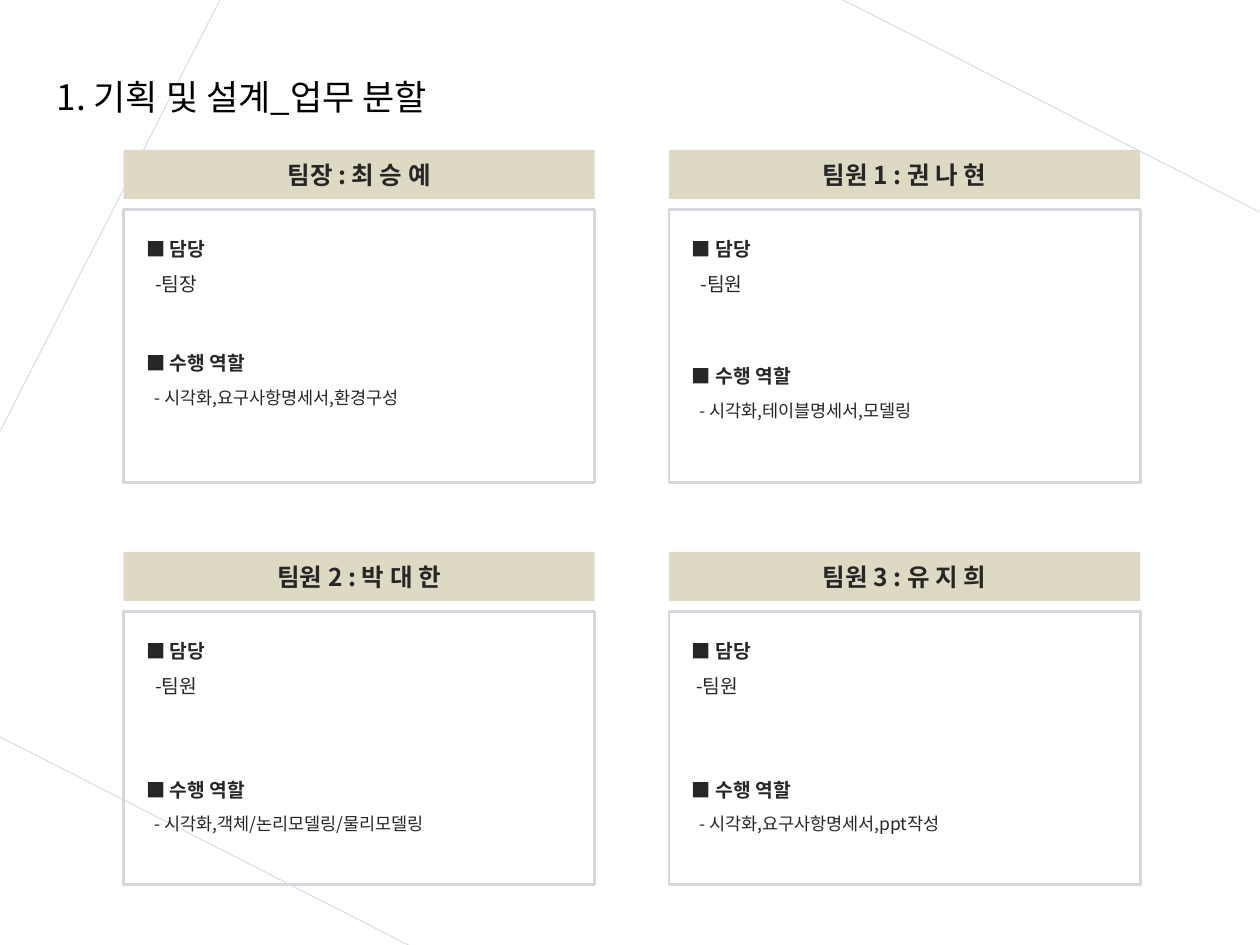
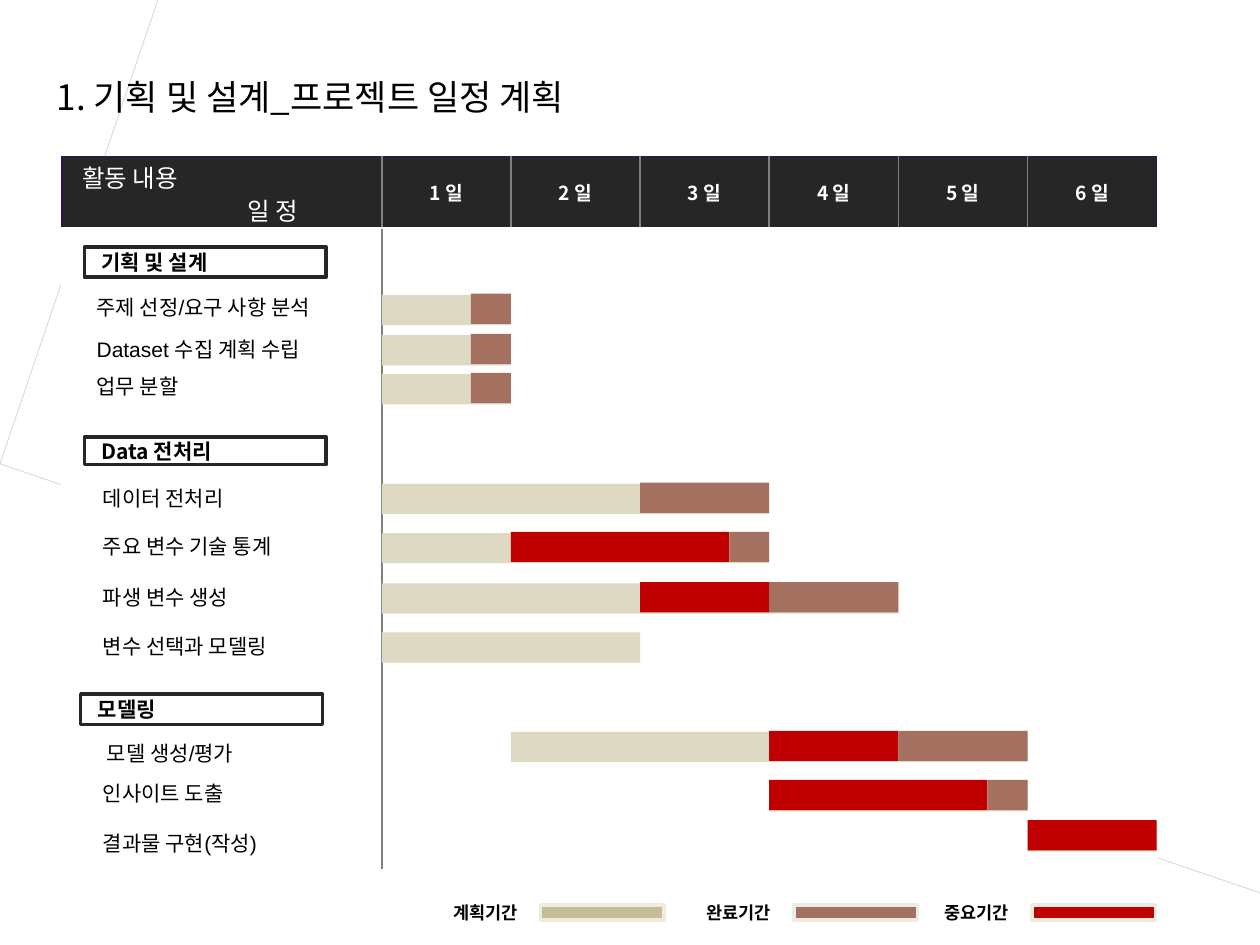
from lxml import etree
from pptx import Presentation
from pptx.dml.color import RGBColor
from pptx.enum.shapes import MSO_SHAPE as Preset
from pptx.enum.text import MSO_ANCHOR as Anchor, MSO_AUTO_SIZE as AutoSize, PP_ALIGN as Align
from pptx.oxml.ns import qn
from pptx.util import Pt

KOREAN_FONT = "Noto Sans CJK KR"
LATIN_FONT = "Arial"
COLORS = {
    "white": "FFFFFF", "black": "000000", "ink": "262626",
    "backdrop": "D9D9D9", "frame": "D6D7DE", "grid": "808080", "table_edge": "2D1152",
    "plan": "DDD9C3", "plan_key": "C4BD97", "key_edge": "EEECE1",
    "done": "A47160", "major": "C00000",
}

CARD_LEFTS = (70.6, 382.3)
CARD_TOPS = (85.7, 315.4)
CARD_WIDTH = 269.3
CARDS = [
    ("팀장 : 최 승 예", "-팀장", 5, 25, "- 시각화,요구사항명세서,환경구성"),
    ("팀원 1 : 권 나 현", "-팀원", 5, 32.5, "- 시각화,테이블명세서,모델링"),
    ("팀원 2 : 박 대 한", "-팀원", 5, 39, "- 시각화,객체/논리모델링/물리모델링"),
    ("팀원 3 : 유 지 희", "-팀원", 2.5, 39, "- 시각화,요구사항명세서,ppt작성"),
]

TABLE_LEFT, TABLE_TOP = 35.3, 89.3
ACTIVITY_WIDTH, DAY_WIDTH, DAY_COUNT = 182.9, 73.8, 6
HEADER_HEIGHT, CHART_HEIGHT = 41, 366.5
DAY_ONE = TABLE_LEFT + ACTIVITY_WIDTH
BAR_HEIGHT = 17.3
STAGES = [
    ("기획 및 설계", 48.2, 141.1, 17.3),
    ("Data 전처리", 48.2, 249.8, 15.8),
    ("모델링", 46.1, 396.7, 17.3),
]
TASKS = [
    ("주제 선정/요구 사항 분석", 48.2, 164.2, 168.5, [("plan", 0, 1), ("done", 0.69, 1)]),
    ("Dataset 수집 계획 수립", 48.2, 187.9, 191.5, [("plan", 0, 1), ("done", 0.69, 1)]),
    ("업무 분할", 48.2, 209.5, 213.8, [("plan", 0, 1), ("done", 0.69, 1)]),
    ("데이터 전처리", 51.8, 273.6, 276.5, [("plan", 0, 3), ("done", 2, 3)]),
    ("주요 변수 기술 통계", 51.8, 301, 304.6,
     [("plan", 0, 3), ("major", 1, 2.69), ("done", 2.69, 3)]),
    ("파생 변수 생성", 51.8, 329.8, 333.4, [("plan", 0, 4), ("major", 2, 3), ("done", 3, 4)]),
    ("변수 선택과 모델링", 51.8, 357.8, 361.4, [("plan", 0, 2)]),
    ("모델 생성/평가", 54, 419, 418.3, [("plan", 1, 5), ("major", 3, 4), ("done", 4, 5)]),
    ("인사이트 도출", 51.8, 442.1, 446.4,
     [("plan", 3, 5), ("major", 3, 4.69), ("done", 4.69, 5)]),
    ("결과물 구현(작성)", 51.8, 470.2, 469.4, [("plan", 5, 6), ("major", 5, 6)]),
]
LEGEND = [("계획기간", 252, "plan_key"), ("완료기간", 396.7, "done"), ("중요기간", 532.8, "major")]


def color(name):
    return RGBColor.from_string(COLORS[name])


def write_text(paragraph, text, size=12, ink="black", bold=False, font=KOREAN_FONT,
               align=Align.LEFT, line=None, indent=0, before=0):
    properties = paragraph._p.get_or_add_pPr()
    properties.set("marL", str(Pt(indent)))
    properties.set("indent", "0")
    etree.SubElement(properties, qn("a:buNone"))
    paragraph.alignment = align
    paragraph.space_before = Pt(before)
    paragraph.space_after = Pt(0)
    if line:
        paragraph.line_spacing = Pt(line)
    run = paragraph.add_run()
    run.text = text
    run.font.size = Pt(size)
    run.font.bold = bold
    run.font.name = font
    run.font.color.rgb = color(ink)
    east_asian = etree.SubElement(run._r.get_or_add_rPr(), qn("a:ea"))
    east_asian.set("typeface", KOREAN_FONT)


def place(shape, left, top, width, height):
    shape.left, shape.top, shape.width, shape.height = map(Pt, (left, top, width, height))


def prepare_frame(text_frame):
    text_frame.word_wrap = True
    text_frame.auto_size = AutoSize.NONE
    text_frame.vertical_anchor = Anchor.TOP


def add_box(slide, left, top, width, height, fill=None, edge=None, edge_width=1):
    shape = slide.shapes.add_shape(Preset.RECTANGLE, *map(Pt, (left, top, width, height)))
    shape.shadow.inherit = False
    if fill:
        shape.fill.solid()
        shape.fill.fore_color.rgb = color(fill)
    else:
        shape.fill.background()
    if edge:
        shape.line.color.rgb = color(edge)
        shape.line.width = Pt(edge_width)
    else:
        shape.line.fill.background()
    return shape


def add_label(slide, text, left, top, width, height, **text_format):
    label = slide.shapes.add_textbox(*map(Pt, (left, top, width, height)))
    prepare_frame(label.text_frame)
    write_text(label.text_frame.paragraphs[0], text, font=LATIN_FONT, **text_format)


def start_slide(presentation, layout, title, backdrop_left, backdrop_top, rotation):
    slide = presentation.slides.add_slide(presentation.slide_layouts[layout])
    place(slide.shapes.title, 25.2, 37.4, 351.4, 31.7)
    prepare_frame(slide.shapes.title.text_frame)
    write_text(slide.shapes.title.text_frame.paragraphs[0], title, size=20, line=26)
    backdrop = add_box(slide, backdrop_left, backdrop_top, 888.5, 594, "white", "backdrop", 0.5)
    backdrop.rotation = rotation
    backdrop.element.getparent().insert(2, backdrop.element)
    return slide


def add_card(slide, body, left, top, card):
    name, position, position_indent, gap, duties = card
    header = add_box(slide, left, top, CARD_WIDTH, 28, "plan")
    header.text_frame.vertical_anchor = Anchor.MIDDLE
    write_text(header.text_frame.paragraphs[0], name, size=14, ink="ink", bold=True,
               align=Align.CENTER)
    add_box(slide, left, top + 33.9, CARD_WIDTH, 156.2, edge="frame", edge_width=1.5)

    place(body, left + 5.8, top + 39.6, CARD_WIDTH - 11.6, 125.3)
    prepare_frame(body.text_frame)
    lines = [
        ("■ 담당", dict(size=11, bold=True, line=20)),
        (position, dict(size=11, line=20, indent=position_indent)),
        ("■ 수행 역할", dict(size=11, bold=True, line=20, before=gap)),
        (duties, dict(size=10, line=19, indent=4.5)),
    ]
    for index, (text, text_format) in enumerate(lines):
        paragraph = body.text_frame.add_paragraph() if index else body.text_frame.paragraphs[0]
        write_text(paragraph, text, ink="ink", **text_format)


def style_cell(cell, fill, **edges):
    properties = cell._tc.get_or_add_tcPr()
    for side in "LRT":
        if side in edges:
            border = etree.SubElement(properties, qn(f"a:ln{side}"), w=str(Pt(1)))
            solid = etree.SubElement(border, qn("a:solidFill"))
            etree.SubElement(solid, qn("a:srgbClr"), val=COLORS[edges[side]])
    cell.fill.solid()
    cell.fill.fore_color.rgb = color(fill)


def add_schedule(slide):
    size = (ACTIVITY_WIDTH + DAY_COUNT * DAY_WIDTH, HEADER_HEIGHT + CHART_HEIGHT)
    table = slide.shapes.add_table(2, DAY_COUNT + 1,
                                   *map(Pt, (TABLE_LEFT, TABLE_TOP) + size)).table
    table.first_row = table.horz_banding = False
    for index, column in enumerate(table.columns):
        column.width = Pt(DAY_WIDTH if index else ACTIVITY_WIDTH)
    table.rows[0].height, table.rows[1].height = Pt(HEADER_HEIGHT), Pt(CHART_HEIGHT)

    corner = table.cell(0, 0)
    style_cell(corner, "ink", L="table_edge", R="grid", T="table_edge")
    corner.margin_top, corner.margin_bottom = Pt(2.5), Pt(0)
    write_text(corner.text_frame.paragraphs[0], "활동 내용", size=14, ink="white",
               line=19.2, indent=4.5)
    write_text(corner.text_frame.add_paragraph(), "일 정", size=14, ink="white",
               line=19.2, indent=99)
    for day in range(1, DAY_COUNT + 1):
        cell = table.cell(0, day)
        style_cell(cell, "ink", L="grid", R="grid" if day < DAY_COUNT else "table_edge",
                   T="table_edge")
        cell.vertical_anchor = Anchor.MIDDLE
        write_text(cell.text_frame.paragraphs[0], f"{day} 일", size=11, ink="white", bold=True,
                   align=Align.CENTER)
    table.cell(1, 1).merge(table.cell(1, DAY_COUNT))
    style_cell(table.cell(1, 0), "white", R="grid")
    style_cell(table.cell(1, 1), "white", L="grid")


def add_stage(slide, name, left, top, height):
    box = add_box(slide, left, top, 138.2, height, edge="ink", edge_width=2)
    box.text_frame.vertical_anchor = Anchor.MIDDLE
    box.text_frame.margin_top = box.text_frame.margin_bottom = 0
    write_text(box.text_frame.paragraphs[0], name, bold=True, indent=2.7)


def add_task(slide, name, left, label_top, bar_top, periods):
    add_label(slide, name, left, label_top, 160, 21.6, line=15)
    for kind, start, end in periods:
        top = bar_top if kind == "plan" else bar_top - 0.7
        add_box(slide, DAY_ONE + start * DAY_WIDTH, top, (end - start) * DAY_WIDTH,
                BAR_HEIGHT, kind)


def add_legend_entry(slide, name, left, fill):
    add_box(slide, left + 56.9, 517, 70.6, 8.6, fill, "key_edge", 2)
    add_label(slide, name, left, 511.2, 62.6, 19.4, size=10, bold=True, line=12.5)


def build_roles(presentation):
    slide = start_slide(presentation, 4, "1. 기획 및 설계_업무 분할", 15.8, 25.2, 27)
    bodies = [shape for shape in slide.placeholders if shape.placeholder_format.idx in range(1, 5)]
    for index, (body, card) in enumerate(zip(bodies, CARDS)):
        row, column = divmod(index, 2)
        add_card(slide, body, CARD_LEFTS[column], CARD_TOPS[row], card)


def build_plan(presentation):
    slide = start_slide(presentation, 5, "1. 기획 및 설계_프로젝트 일정 계획", 72, -169.9, 18.8)
    add_schedule(slide)
    for stage in STAGES:
        add_stage(slide, *stage)
    for task in TASKS:
        add_task(slide, *task)
    for entry in LEGEND:
        add_legend_entry(slide, *entry)


def main():
    presentation = Presentation()
    presentation.slide_width, presentation.slide_height = Pt(720), Pt(540)
    build_roles(presentation)
    build_plan(presentation)
    presentation.save("out.pptx")


if __name__ == "__main__":
    main()
